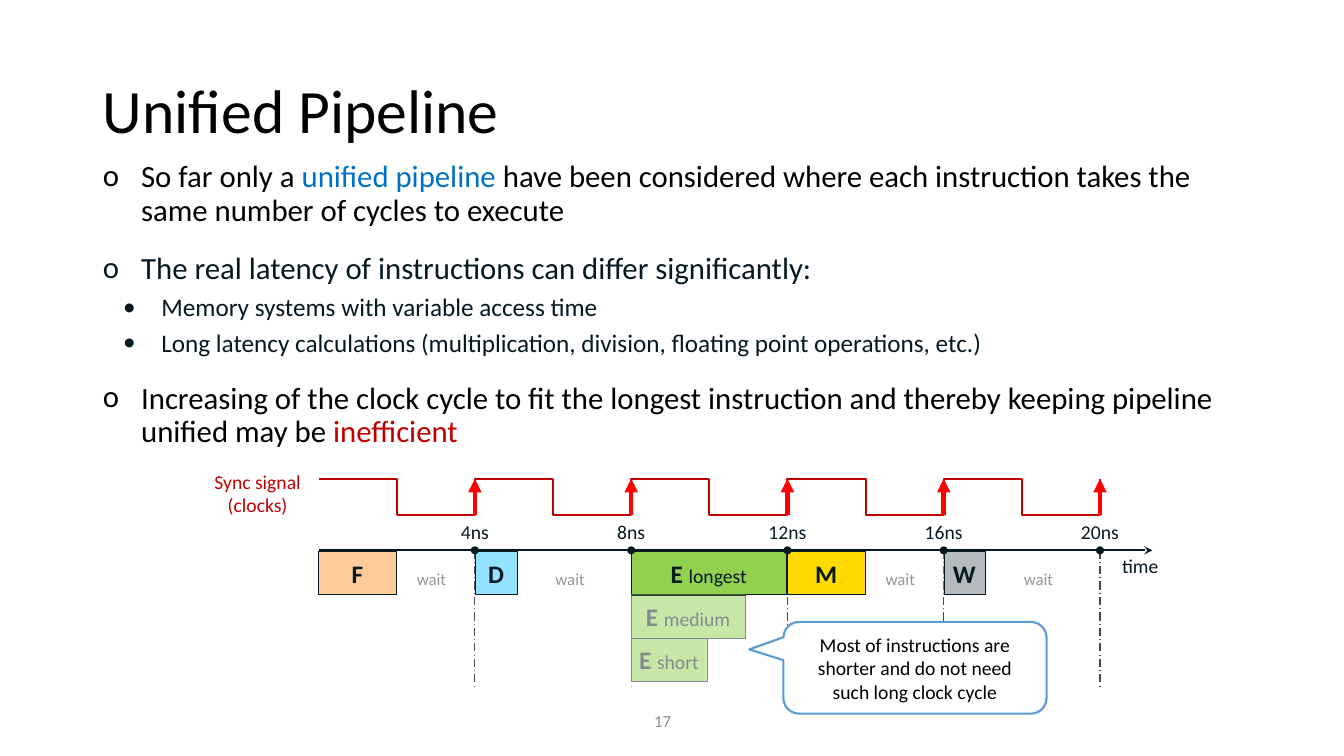
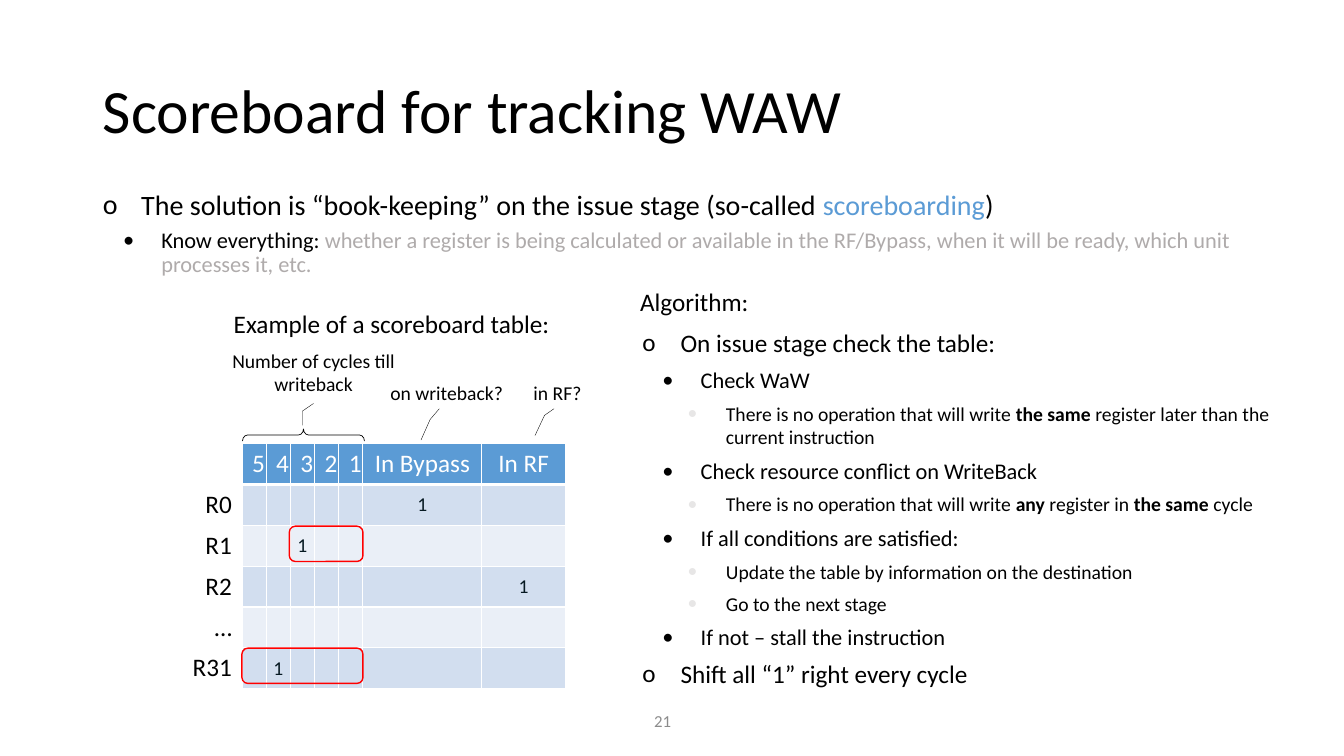
from dataclasses import dataclass
from typing import NamedTuple, Optional

from lxml.etree import SubElement
from pptx import Presentation
from pptx.dml.color import RGBColor
from pptx.enum.dml import MSO_LINE
from pptx.enum.shapes import MSO_CONNECTOR, MSO_SHAPE as Shape
from pptx.enum.text import MSO_ANCHOR as Anchor, MSO_AUTO_SIZE, PP_ALIGN as Align
from pptx.oxml.ns import qn
from pptx.util import Inches, Pt

# Shared look
FONT = "Calibri"
COLORS = {
    "black": "000000", "white": "FFFFFF", "ink": "061922", "dash": "494A4D",
    "number": "8C8C8C", "wait": "939598", "faded": "AFABAB", "pale": "E7E6E6",
    "term": "0071C5", "accent": "5B9BD5", "clock": "C00000", "alert": "FF0000",
    "fetch": "FFCC99", "decode": "93E2FF", "execute": "92D050",
    "memory": "FFDA00", "write": "B4BABD", "odd": "D2DEEF", "even": "EAEFF7",
}
TITLE_LAYOUT, TWO_LIST_LAYOUT = 1, 3
INDENTS = (0.38, 0.58, 0.83)
HANGING = 0.38


class Area(NamedTuple):
    left: float
    top: float
    width: float
    height: float


class Span(NamedTuple):
    text: str
    color: Optional[str] = None
    bold: bool = False
    size: Optional[float] = None


@dataclass
class Para:
    spans: list
    size: float = 14
    color: str = "black"
    before: float = 0
    level: int = 0
    bullet: str = ""
    bullet_color: str = ""


@dataclass
class Stage:
    letter: str
    cycle: int
    width: float
    color: str
    note: str = ""
    row: int = 0
    waits: bool = False


@dataclass
class Callout:
    text: str
    area: Area
    pointer: tuple


def rgb(name: str) -> RGBColor:
    return RGBColor.from_string(COLORS[name])


def lengths(area: Area) -> list:
    return [Inches(value) for value in area]


# Text
def add_bullet(para, item: Para) -> None:
    properties = para._p.get_or_add_pPr()
    properties.set("marL", str(Inches(INDENTS[item.level])))
    properties.set("indent", str(-Inches(HANGING)))
    if item.bullet_color:
        holder = SubElement(properties, qn("a:buClr"))
        SubElement(holder, qn("a:srgbClr"), val=COLORS[item.bullet_color])
    SubElement(properties, qn("a:buFont"), typeface=FONT)
    SubElement(properties, qn("a:buChar"), char=item.bullet)


def write(frame, items: list, align=Align.LEFT, anchor=Anchor.TOP,
          spacing: Optional[float] = None, inset: Optional[float] = None) -> None:
    frame.word_wrap = True
    frame.auto_size = MSO_AUTO_SIZE.NONE
    frame.vertical_anchor = anchor
    if inset is not None:
        frame.margin_left = frame.margin_right = Inches(inset)
        frame.margin_top = frame.margin_bottom = Inches(inset)
    for index, item in enumerate(items):
        para = frame.add_paragraph() if index else frame.paragraphs[0]
        para.level = item.level
        para.alignment = align
        para.space_before = Pt(item.before if index else 0)
        if spacing:
            para.line_spacing = spacing
        if item.bullet:
            add_bullet(para, item)
        for span in item.spans:
            run = para.add_run()
            run.text = span.text
            run.font.name = FONT
            run.font.size = Pt(span.size or item.size)
            run.font.bold = span.bold
            run.font.color.rgb = rgb(span.color or item.color)


def add_text(page, area: Area, text: str, size: float = 14, color: str = "black", **layout) -> None:
    box = page.shapes.add_textbox(*lengths(area))
    write(box.text_frame, [Para([Span(line)], size, color) for line in text.split("\n")], **layout)


def point(text: str, *more: Span, level: int = 0, **layout) -> Para:
    return Para([Span(text), *more], level=level, bullet="•" if level else "o", **layout)


# Shapes and lines
def add_box(page, kind, area: Area, fill: str = "", line: str = "", weight: float = 1, adjust: tuple = ()):
    shape = page.shapes.add_shape(kind, *lengths(area))
    shape.shadow.inherit = False
    for index, value in enumerate(adjust):
        shape.adjustments[index] = value
    if fill:
        shape.fill.solid()
        shape.fill.fore_color.rgb = rgb(fill)
    else:
        shape.fill.background()
    if line:
        shape.line.color.rgb = rgb(line)
        shape.line.width = Pt(weight)
    else:
        shape.line.fill.background()
    return shape


def add_line(page, start: tuple, end: tuple, color: str, weight: float, head: str = "", dash=None) -> None:
    ends = [Inches(value) for value in (*start, *end)]
    line = page.shapes.add_connector(MSO_CONNECTOR.STRAIGHT, *ends)
    line.line.color.rgb = rgb(color)
    line.line.width = Pt(weight)
    if dash:
        line.line.dash_style = dash
    if head:
        SubElement(line.line._get_or_add_ln(), qn("a:tailEnd"), type=head)
    SubElement(line._element.spPr, qn("a:effectLst"))


def add_page(deck, layout: int, title: str, number: int, area: Area, points: list):
    page = deck.slides.add_slide(deck.slide_layouts[layout])
    heading, body = page.shapes.title, page.placeholders[1]
    for holder, place in ((heading, Area(0.92, 0.4, 11.5, 1.45)), (body, area)):
        holder.left, holder.top, holder.width, holder.height = lengths(place)
    write(heading.text_frame, [Para([Span(title)], 44)], anchor=Anchor.MIDDLE, spacing=0.9)
    write(body.text_frame, points, spacing=0.9)
    add_text(page, Area(6.39, 6.95, 0.79, 0.4), str(number), 12, "number", anchor=Anchor.MIDDLE)
    return page


# Pipeline timing diagram
START, PERIOD, CYCLES, CYCLE_NS = 3.16, 1.55, 5, 4
AXIS, STAGE_HEIGHT = 5.46, 0.43
HIGH, LOW = 4.75, 5.11
STAGES = [
    Stage("F", 0, 0.77, "fetch", waits=True),
    Stage("D", 1, 0.42, "decode", waits=True),
    Stage("E", 2, 1.54, "execute", "longest"),
    Stage("M", 3, 0.77, "memory", waits=True),
    Stage("W", 4, 0.41, "write", waits=True),
    Stage("E", 2, 1.13, "execute", "medium", row=1),
    Stage("E", 2, 0.75, "execute", "short", row=2),
]


def tick(cycle: float) -> float:
    return START + cycle * PERIOD


def draw_stage(page, stage: Stage) -> None:
    left = tick(stage.cycle)
    area = Area(left, AXIS + 0.01 + stage.row * STAGE_HEIGHT, stage.width, STAGE_HEIGHT)
    box = add_box(page, Shape.RECTANGLE, area, stage.color, "ink", 0.25)
    spans = [Span(stage.letter, bold=True)]
    if stage.note:
        spans = [Span(stage.letter + " ", bold=True), Span(stage.note, size=14)]
    write(box.text_frame, [Para(spans, 18, "ink")], align=Align.CENTER, anchor=Anchor.MIDDLE, inset=0)
    if stage.waits:
        middle = (left + stage.width + tick(stage.cycle + 1)) / 2 - 0.04
        add_text(page, Area(middle - 0.3, 5.59, 0.6, 0.3), "wait", 12, "wait", align=Align.CENTER)


def draw_clock(page) -> None:
    add_text(page, Area(1.95, 4.61, 1.21, 0.57), "Sync signal\n(clocks)", color="clock", align=Align.CENTER)
    corners = []
    for cycle in range(CYCLES):
        middle, end = tick(cycle + 0.5), tick(cycle + 1)
        corners += [(middle, HIGH), (middle, LOW), (end, LOW), (end, HIGH)]
    builder = page.shapes.build_freeform(Inches(START), Inches(HIGH))
    builder.add_line_segments([(Inches(x), Inches(y)) for x, y in corners], close=False)
    wave = builder.convert_to_shape()
    wave.shadow.inherit = False
    wave.fill.background()
    wave.line.color.rgb = rgb("clock")
    wave.line.width = Pt(1.5)
    add_line(page, (START, AXIS), (11.43, AXIS), "ink", 1.5, head="stealth")
    add_text(page, Area(11.03, 5.45, 0.65, 0.34), "time", color="ink")
    for cycle in range(1, CYCLES + 1):
        x = tick(cycle)
        add_line(page, (x, LOW), (x, HIGH), "alert", 3.25, head="triangle")
        add_box(page, Shape.OVAL, Area(x - 0.04, AXIS - 0.04, 0.08, 0.08), "ink")
        add_text(page, Area(x - 0.4, 5.1, 0.8, 0.34), f"{cycle * CYCLE_NS}ns", color="ink",
                 align=Align.CENTER, anchor=Anchor.BOTTOM)


def build_pipeline(deck) -> None:
    page = add_page(deck, TITLE_LAYOUT, "Unified Pipeline", 17, Area(0.92, 1.55, 11.5, 3.1), [
        point("So far only a ", Span("unified pipeline", "term"),
              Span(" have been considered where each instruction takes the same number of cycles to execute"),
              size=22),
        point("The real latency of instructions can differ significantly:", size=22, color="ink", before=18),
        point("Memory systems with variable access time", level=1, size=18, color="ink", before=6),
        point("Long latency calculations (multiplication, division, floating point operations, etc.)",
              level=1, size=18, color="ink", before=6),
        point("Increasing of the clock cycle to fit the longest instruction and thereby keeping pipeline "
              "unified may be ", Span("inefficient", "clock"), size=22, before=18),
    ])
    for cycle in range(1, CYCLES + 1):
        add_line(page, (tick(cycle), AXIS), (tick(cycle), 6.82), "dash", 0.75, dash=MSO_LINE.LONG_DASH_DOT)
    for stage in STAGES:
        draw_stage(page, stage)
    # Translucent veil over the shorter variants
    veil = add_box(page, Shape.RECTANGLE, Area(tick(2), 5.91, 1.33, 0.93), "white")
    SubElement(veil._element.spPr.find(".//" + qn("a:srgbClr")), qn("a:alpha"), val="50000")
    remark = add_box(page, Shape.ROUNDED_RECTANGULAR_CALLOUT, Area(7.77, 6.17, 2.61, 0.91),
                     "white", "accent", 1.5, (-0.63, -0.2, 0.17))
    write(remark.text_frame,
          [Para([Span("Most of instructions are shorter and do not need such long clock cycle")])],
          align=Align.CENTER, anchor=Anchor.MIDDLE)
    draw_clock(page)


# Scoreboard
HEADERS = ["", "5", "4", "3", "2", "1", "In Bypass", "In RF"]
REGISTERS = ["R0", "R1", "R2", "…", "R31"]
MARKS = {(1, 6), (2, 3), (3, 7), (5, 2)}
WIDTHS = [0.76] + [0.24] * 5 + [1.18, 0.83]
ROW_HEIGHT = 0.4
CALLOUTS = [
    Callout("Number of cycles till writeback", Area(2.2, 3.35, 1.82, 0.68), (0.96, 0.5, 1.07, 0.44, 1.28, 0.44)),
    Callout("on writeback?", Area(3.52, 3.69, 1.82, 0.41), (0.89, 0.46, 1.15, 0.41, 1.65, 0.36)),
    Callout("in RF?", Area(5.1, 3.69, 0.86, 0.41), (0.89, 0.46, 1.05, 0.35, 1.54, 0.24)),
]


def style_cell(cell, fill: str, bottom: float) -> None:
    properties = cell._tc.get_or_add_tcPr()
    for side, weight in (("L", 1), ("R", 1), ("T", 1), ("B", bottom)):
        border = SubElement(properties, qn(f"a:ln{side}"), w=str(Pt(weight)))
        SubElement(SubElement(border, qn("a:solidFill")), qn("a:srgbClr"), val=COLORS["white"])
    if fill:
        cell.fill.solid()
        cell.fill.fore_color.rgb = rgb(fill)
    else:
        cell.fill.background()


def draw_table(page) -> None:
    rows = len(REGISTERS) + 1
    area = Area(1.64, 4.4, sum(WIDTHS), rows * ROW_HEIGHT)
    table = page.shapes.add_table(rows, len(WIDTHS), *lengths(area)).table
    table.first_row = table.horz_banding = False
    for column, width in zip(table.columns, WIDTHS):
        column.width = Inches(width)
    for row in range(rows):
        table.rows[row].height = Inches(ROW_HEIGHT)
        band = "accent" if row == 0 else "odd" if row % 2 else "even"
        for column, header in enumerate(HEADERS):
            cell = table.cell(row, column)
            style_cell(cell, band if column else "", 1 if row else 3)
            para, text, size, color = cell.text_frame.paragraphs[0], "", 18, "black"
            para.alignment = Align.CENTER
            if row == 0:
                text, color = header, "white"
            elif column == 0:
                text, para.alignment = REGISTERS[row - 1], Align.RIGHT
            elif (row, column) in MARKS:
                text, size, color = "1", 14, "ink"
                cell.margin_left = cell.margin_right = 0
                cell.vertical_anchor = Anchor.MIDDLE
            if text:
                para.text = text
            para.font.name, para.font.size, para.font.bold = FONT, Pt(size), False
            para.font.color.rgb = rgb(color)


def build_scoreboard(deck) -> None:
    page = add_page(deck, TWO_LIST_LAYOUT, "Scoreboard for tracking WAW", 21, Area(0.92, 1.85, 11.5, 0.95), [
        point("The solution is “book-keeping” on the issue stage (so-called ",
              Span("scoreboarding", "accent"), Span(")"), size=20),
        point("Know everything: ",
              Span("whether a register is being calculated or available in the RF/Bypass, when it will be "
                   "ready, which unit processes it, etc.", "faded"), level=1, size=16, before=5),
    ])
    draw_table(page)
    for area in (Area(2.87, 5.22, 0.73, 0.35), Area(2.4, 6.43, 1.2, 0.35)):
        add_box(page, Shape.ROUNDED_RECTANGLE, area, line="alert")
    # Notes above the table
    brace = add_box(page, Shape.RIGHT_BRACE, Area(2.95, 3.71, 0.12, 1.21), "white", "black", 0.5, (0.42, 0.5))
    brace.rotation = 270
    for note in CALLOUTS:
        shape = add_box(page, Shape.LINE_CALLOUT_2_NO_BORDER, note.area, "", "black", 0.25, note.pointer)
        write(shape.text_frame, [Para([Span(note.text)])], align=Align.CENTER, anchor=Anchor.MIDDLE)
    add_text(page, Area(2.22, 3.01, 3.5, 0.4), "Example of a scoreboard table:", 18)
    add_text(page, Area(6.25, 2.79, 1.4, 0.4), "Algorithm:", 18)
    # Algorithm steps
    check = {"level": 1, "size": 16, "before": 6}
    detail = {"level": 2, "size": 14, "before": 6, "bullet_color": "pale"}
    rule, same = "There is no operation that will write ", Span("the same ", bold=True)
    steps = page.placeholders[2]
    steps.left, steps.top, steps.width, steps.height = lengths(Area(6.37, 3.25, 6.36, 3.7))
    write(steps.text_frame, [
        point("On issue stage check the table:", size=18),
        point("Check WaW", **check),
        point(rule, same, Span("register later than the current instruction"), **detail),
        point("Check resource conflict on WriteBack", **check),
        point(rule, Span("any", bold=True), Span(" register in "), same, Span("cycle"), **detail),
        point("If all conditions are satisfied:", **check),
        point("Update the table by information on the destination", **detail),
        point("Go to the next stage", **detail),
        point("If not – stall the instruction", **check),
        point("Shift all “1” right every cycle", size=18, before=6),
    ], inset=0)


def main() -> None:
    deck = Presentation()
    deck.slide_width, deck.slide_height = Inches(13.33), Inches(7.5)
    build_pipeline(deck)
    build_scoreboard(deck)
    deck.save("out.pptx")


if __name__ == "__main__":
    main()
